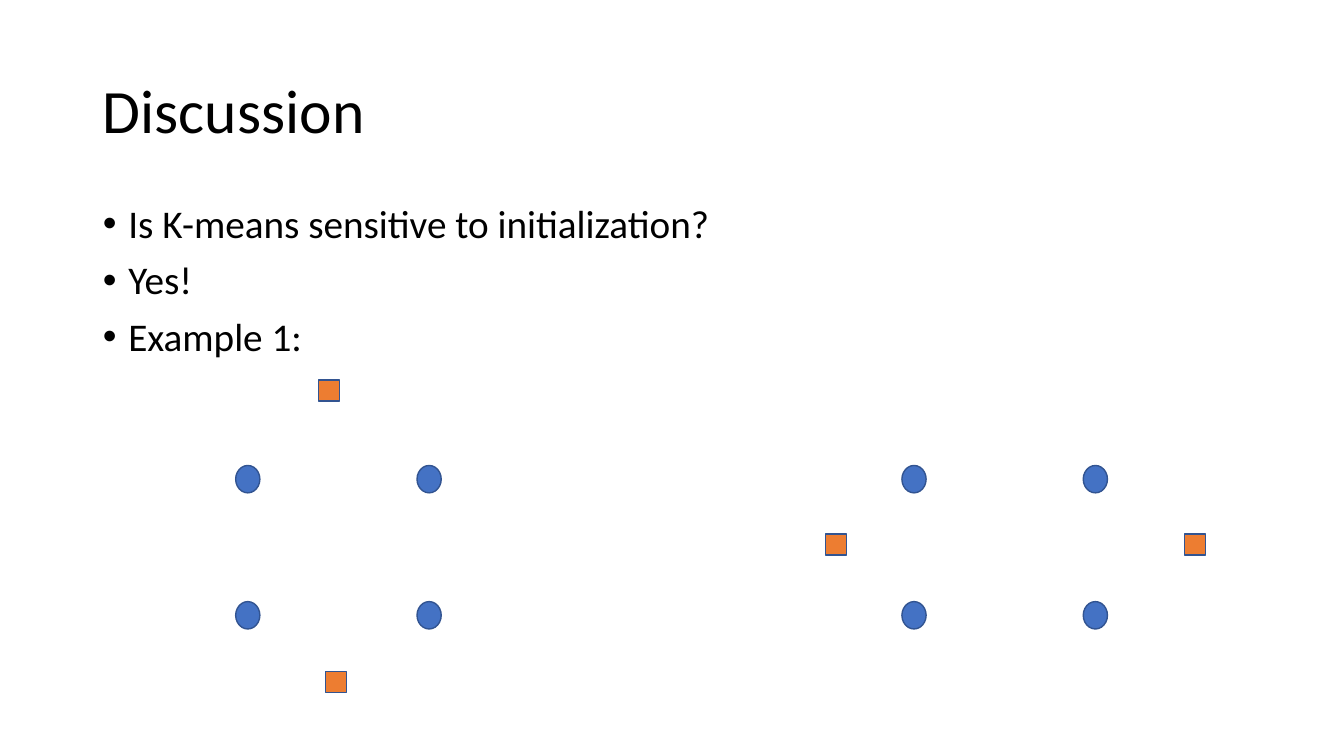
"""Build the discussion slide on how K-means depends on its initial centres."""
from dataclasses import dataclass
from itertools import product

from lxml import etree
from pptx import Presentation
from pptx.dml.color import RGBColor
from pptx.enum import shapes, text
from pptx.oxml import ns
from pptx.util import Cm, Pt

COLOURS = {
    "background": "FFFFFF",
    "text": "000000",
    "point": "4472C4",
    "centre": "ED7D31",
    "outline": "325491",
}
QUESTIONS = ["Is K-means sensitive to initialization?", "Yes!", "Example 1:"]
GROUP_LEFTS = (5.94, 22.73)
POINT_TOP, COLUMN_STEP, ROW_STEP = 11.73, 4.57, 3.43


@dataclass(frozen=True)
class Marker:
    kind: shapes.MSO_SHAPE
    colour: str
    width: float
    height: float


POINT = Marker(shapes.MSO_SHAPE.OVAL, "point", 0.61, 0.69)
CENTRE = Marker(shapes.MSO_SHAPE.RECTANGLE, "centre", 0.53, 0.53)
CENTRE_PLACES = [(8.03, 9.58), (8.2, 16.92), (29.85, 13.46), (20.8, 13.46)]


def colour(name: str) -> RGBColor:
    return RGBColor.from_string(COLOURS[name])


def place(box, left: float, top: float, width: float, height: float) -> None:
    box.left, box.top, box.width, box.height = map(Cm, (left, top, width, height))


def add_bullet(para, indent: float) -> None:
    properties = para._p.get_or_add_pPr()
    properties.set("marL", str(Cm(indent)))
    properties.set("indent", str(-Cm(indent)))
    font = etree.SubElement(properties, ns.qn("a:buFont"))
    font.set("typeface", "Arial")
    bullet = etree.SubElement(properties, ns.qn("a:buChar"))
    bullet.set("char", "•")


def write(box, lines: list[str], *, size: float, anchor: text.MSO_ANCHOR,
          bullet_indent: float = 0, gap: float = 0) -> None:
    frame = box.text_frame
    frame.text = "\n".join(lines)
    frame.word_wrap = True
    frame.auto_size = text.MSO_AUTO_SIZE.NONE
    frame.vertical_anchor = anchor
    for index, para in enumerate(frame.paragraphs):
        if bullet_indent:
            add_bullet(para, bullet_indent)
        para.alignment = text.PP_ALIGN.LEFT
        para.line_spacing = 0.9
        para.space_before = Pt(gap if index else 0)
        for span in para.runs:
            span.font.name = "Calibri"
            span.font.size = Pt(size)
            span.font.color.rgb = colour("text")


def draw(page, marker: Marker, left: float, top: float) -> None:
    box = page.shapes.add_shape(
        marker.kind, Cm(left), Cm(top), Cm(marker.width), Cm(marker.height))
    box.shadow.inherit = False
    box.fill.solid()
    box.fill.fore_color.rgb = colour(marker.colour)
    box.line.color.rgb = colour("outline")
    box.line.width = Pt(1)


def main() -> None:
    deck = Presentation()
    deck.slide_width, deck.slide_height = Cm(33.87), Cm(19.05)
    page = deck.slides.add_slide(deck.slide_layouts[1])
    page.background.fill.solid()
    page.background.fill.fore_color.rgb = colour("background")

    title, body = page.placeholders
    place(title, 2.34, 1.02, 29.21, 3.68)
    write(title, ["Discussion"], size=44, anchor=text.MSO_ANCHOR.MIDDLE)
    place(body, 2.34, 5.03, 29.21, 12.09)
    write(body, QUESTIONS, size=28, anchor=text.MSO_ANCHOR.TOP,
          bullet_indent=0.64, gap=10)

    for left, row, column in product(GROUP_LEFTS, range(2), range(2)):
        draw(page, POINT, left + column * COLUMN_STEP, POINT_TOP + row * ROW_STEP)
    for left, top in CENTRE_PLACES:
        draw(page, CENTRE, left, top)

    deck.save("out.pptx")


if __name__ == "__main__":
    main()
